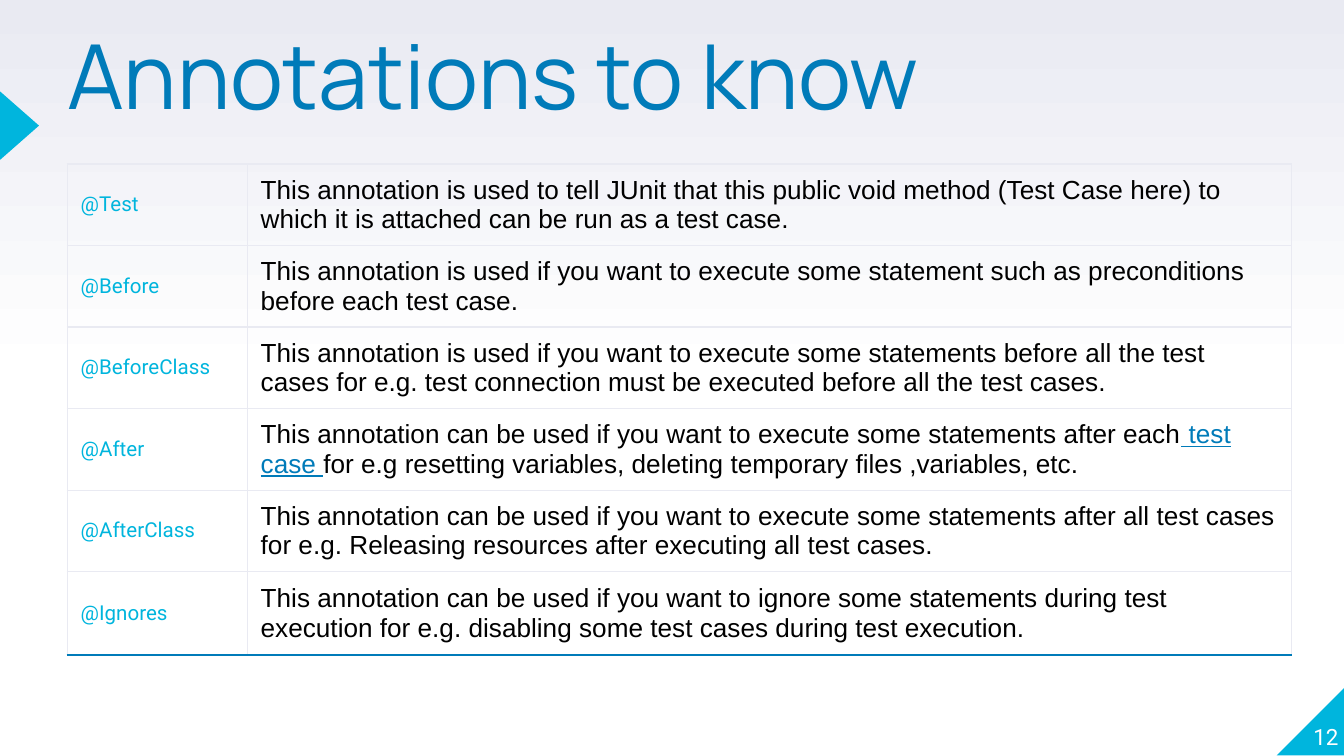
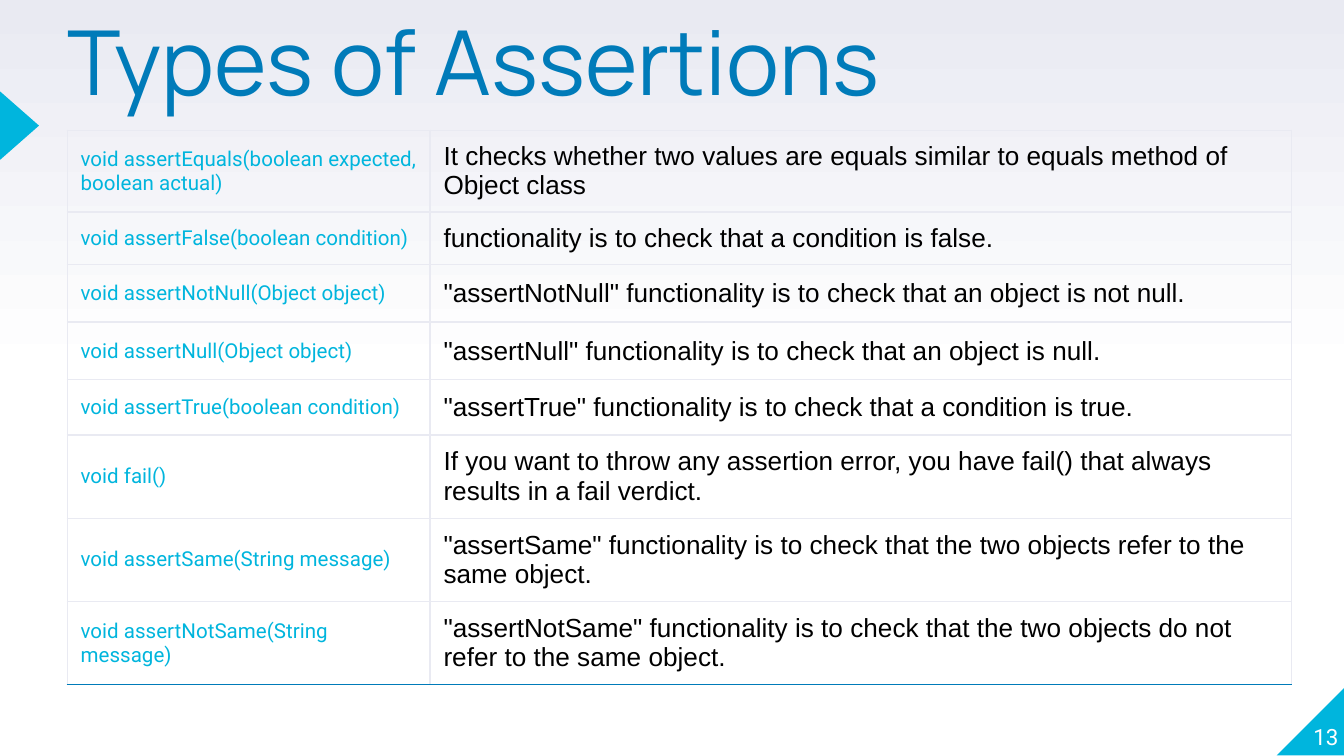
from copy import deepcopy

from lxml.etree import SubElement
from pptx import Presentation
from pptx.dml.color import RGBColor
from pptx.enum.shapes import MSO_SHAPE
from pptx.enum.text import MSO_ANCHOR, PP_ALIGN
from pptx.oxml.ns import qn
from pptx.util import Inches, Pt

BLUE = RGBColor(0x00, 0x7B, 0xB9)
CYAN = RGBColor(0x00, 0xB5, 0xDD)
LAVENDER = RGBColor(0xE9, 0xEA, 0xF2)
WHITE = RGBColor(0xFF, 0xFF, 0xFF)
BLACK = RGBColor(0x00, 0x00, 0x00)

COLUMNS, ROWS = 100, 56.25
LEFT = 5
TABLE_WIDTH = 91.1

TITLE = {"name": "Manrope", "size": Pt(48), "color": BLUE}
NUMBER = {"name": "Roboto", "size": Pt(12), "color": WHITE}
TERM = {"name": "Roboto", "size": Pt(11), "color": CYAN}
MEANING = {"name": "Arial", "size": Pt(14), "color": BLACK}
LINK = {**MEANING, "color": BLUE, "underline": True}

NO_INSETS = {"margin_left": 0, "margin_right": 0, "margin_top": 0,
             "margin_bottom": 0, "word_wrap": True}
CELL = {"margin_left": Inches(0.1), "margin_right": Inches(0.1),
        "margin_top": Inches(0.07), "margin_bottom": Inches(0.07),
        "vertical_anchor": MSO_ANCHOR.MIDDLE}
PLAIN_TABLE = {"first_row": False, "horz_banding": False}

ROW_HEIGHTS = [3.8, 3.9, 4.3, 4.3, 4.1, 6.2, 6.2, 6.2]

ANNOTATIONS = [
    ("@Test", "This annotation is used to tell JUnit that this public void method "
     "(Test Case here) to which it is attached can be run as a test case."),
    ("@Before", "This annotation is used if you want to execute some statement "
     "such as preconditions before each test case."),
    ("@BeforeClass", "This annotation is used if you want to execute some statements "
     "before all the test cases for e.g. test connection must be executed "
     "before all the test cases."),
    ("@After", [
        ("This annotation can be used if you want to execute some statements "
         "after each", MEANING),
        (" test case ", LINK),
        ("for e.g resetting variables, deleting temporary files ,variables, etc.",
         MEANING)]),
    ("@AfterClass", "This annotation can be used if you want to execute some "
     "statements after all test cases for e.g. Releasing resources after "
     "executing all test cases."),
    ("@Ignores", "This annotation can be used if you want to ignore some statements "
     "during test execution for e.g. disabling some test cases during "
     "test execution."),
]

ASSERTIONS = [
    ("void assertEquals(boolean expected, boolean actual)",
     "It checks whether two values are equals similar to equals method of "
     "Object class"),
    ("void assertFalse(boolean condition)",
     "functionality is to check that a condition is false."),
    ("void assertNotNull(Object object)",
     '"assertNotNull" functionality is to check that an object is not null.'),
    ("void assertNull(Object object)",
     '"assertNull" functionality is to check that an object is null.'),
    ("void assertTrue(boolean condition)",
     '"assertTrue" functionality is to check that a condition is true.'),
    ("void fail()",
     "If you want to throw any assertion error, you have fail() that always "
     "results in a fail verdict."),
    ("void assertSame(String message)",
     '"assertSame" functionality is to check that the two objects refer to '
     "the same object."),
    ("void assertNotSame(String message)",
     '"assertNotSame" functionality is to check that the two objects do not '
     "refer to the same object."),
]


def apply(target, values):
    for name, value in values.items():
        setattr(target, name, value)


class Deck:
    def __init__(self):
        self.prs = Presentation()
        self.prs.slide_width = Inches(10)
        self.prs.slide_height = Inches(5.625)
        self.s = None

    def x(self, columns):
        return round(self.prs.slide_width * columns / COLUMNS)

    def y(self, rows):
        return round(self.prs.slide_height * rows / ROWS)

    def box(self, left, top, width, height):
        return self.x(left), self.y(top), self.x(width), self.y(height)

    def slide(self, title, title_top, title_height, number):
        self.s = self.prs.slides.add_slide(self.prs.slide_layouts[6])
        self.background()
        corner = self.shape(MSO_SHAPE.RIGHT_TRIANGLE, 95, 51.1, 5.1, 5.1)
        corner.element.spPr.find(qn("a:xfrm")).set("flipH", "1")
        self.shape(MSO_SHAPE.ISOSCELES_TRIANGLE, -1.1, 7.9, 5.1, 2.9).rotation = 90
        p = self.text(title, TITLE, LEFT, title_top, 89.6, title_height)
        p.line_spacing = 0.8
        p = self.text(number, NUMBER, 94.6, 50.7, 5, 5.1, MSO_ANCHOR.BOTTOM)
        p.alignment = PP_ALIGN.RIGHT

    def background(self):
        fill = self.s.background.fill
        fill.gradient()
        fill.gradient_angle = 90
        stops = self.s.element.find(".//" + qn("a:gsLst"))
        stops.insert(0, deepcopy(stops[0]))
        colors = (WHITE, WHITE, LAVENDER)
        for stop, position, color in zip(fill.gradient_stops, (0, 0.5, 1), colors):
            stop.position = position
            stop.color.rgb = color

    def shape(self, kind, *place):
        sp = self.s.shapes.add_shape(kind, *self.box(*place))
        sp.shadow.inherit = False
        sp.fill.solid()
        sp.fill.fore_color.rgb = CYAN
        sp.line.fill.background()
        return sp

    def run(self, p, text, style):
        r = p.add_run()
        r.text = text
        apply(r.font, {k: v for k, v in style.items() if k != "color"})
        r.font.color.rgb = style["color"]

    def text(self, text, style, left, top, width, height, anchor=MSO_ANCHOR.TOP):
        place = self.box(left, top, width, height)
        tf = self.s.shapes.add_textbox(*place).text_frame
        apply(tf, {**NO_INSETS, "vertical_anchor": anchor})
        p = tf.paragraphs[0]
        self.run(p, text, style)
        return p

    def borders(self, cell, bottom):
        tcPr = cell._tc.get_or_add_tcPr()
        colors = {"lnL": LAVENDER, "lnR": LAVENDER, "lnT": LAVENDER, "lnB": bottom}
        for side, color in colors.items():
            ln = SubElement(tcPr, qn("a:" + side), w=str(Pt(0.75)))
            fill = SubElement(ln, qn("a:solidFill"))
            SubElement(fill, qn("a:srgbClr"), val=str(color))

    def cell(self, cell, content, style, bottom):
        apply(cell, CELL)
        self.borders(cell, bottom)
        cell.fill.background()
        runs = [(content, style)] if isinstance(content, str) else content
        for text, run_style in runs:
            self.run(cell.text_frame.paragraphs[0], text, run_style)

    def table(self, entries, top, height, term_width):
        place = self.box(LEFT, top, TABLE_WIDTH, height)
        frame = self.s.shapes.add_table(len(entries), 2, *place)
        table = frame.table
        apply(table, PLAIN_TABLE)
        for column, width in zip(table.columns, (term_width, TABLE_WIDTH - term_width)):
            column.width = self.x(width)
        for i, (row, entry) in enumerate(zip(table.rows, entries)):
            row.height = self.y(ROW_HEIGHTS[i])
            bottom = BLUE if i == len(entries) - 1 else LAVENDER
            for cell, content, style in zip(row.cells, entry, (TERM, MEANING)):
                self.cell(cell, content, style, bottom)
        frame.height = self.y(height)


def main():
    deck = Deck()
    deck.slide("Annotations to know", 3, 7.6, "12")
    deck.table(ANNOTATIONS, 12.2, 37, 13.4)
    deck.slide("Types of Assertions", 2, 6.2, "13")
    deck.table(ASSERTIONS, 9.7, 41.2, 27)
    deck.prs.save("out.pptx")


if __name__ == "__main__":
    main()
